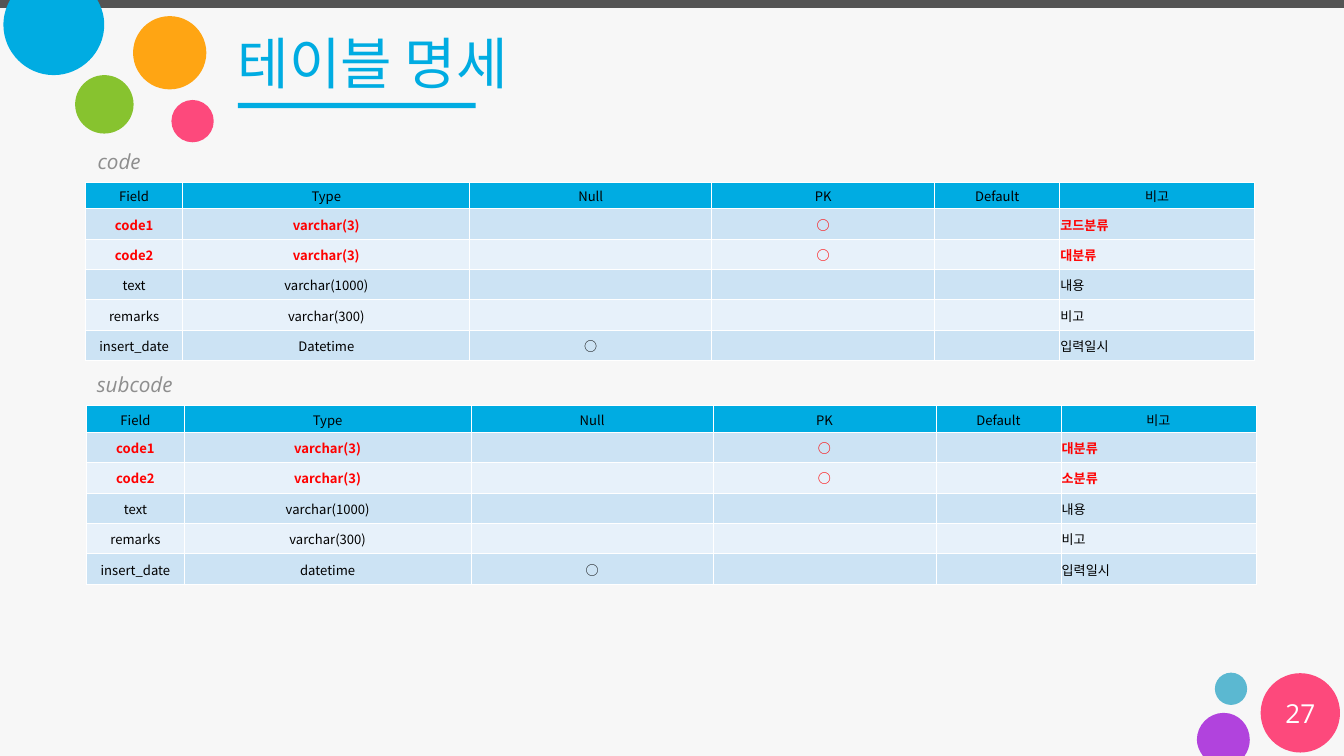
import pptx
import pptx.dml.color
import pptx.enum.shapes
import pptx.enum.text
import pptx.oxml
import pptx.oxml.ns
import pptx.util
from pptx.util import Cm

SLIDE_WIDTH, SLIDE_HEIGHT = 50.8, 28.58
BLUE, PINK, GREEN, WHITE, BLACK, RED = "00ACE2", "FD497C", "87C32F", "FFFFFF", "000000", "FF0000"
BAND_COLORS = ("CCE3F4", "E7F1FA")
RECTANGLE = pptx.enum.shapes.MSO_SHAPE.RECTANGLE
OVAL = pptx.enum.shapes.MSO_SHAPE.OVAL
LEFT = pptx.enum.text.PP_ALIGN.LEFT
CENTER = pptx.enum.text.PP_ALIGN.CENTER
MIDDLE = pptx.enum.text.MSO_ANCHOR.MIDDLE
TOP = pptx.enum.text.MSO_ANCHOR.TOP

COLUMN_WIDTHS = (3.68, 10.85, 9.14, 8.43, 4.72, 7.37)
HEADER_HEIGHT, ROW_HEIGHT = 1.0, 1.15
HEADERS = ("Field", "Type", "Null", "PK", "Default", "비고")
KEY_COUNT = 2

TOP_CIRCLE = (
    ((3.68, 0),),
    ((3.84, 0.28), (3.94, 0.58), (3.94, 0.94)),
    ((3.94, 1.98), (3.07, 2.84), (2.03, 2.84)),
    ((0.99, 2.84), (0.13, 1.98), (0.13, 0.94)),
    ((0.13, 0.58), (0.23, 0.28), (0.38, 0)),
)
BOTTOM_CIRCLE = (
    ((46.81, 26.95), (47.24, 27.41), (47.24, 27.97)),
    ((47.24, 28.19), (47.17, 28.4), (47.04, 28.58)),
    ((45.47, 28.58),),
    ((45.34, 28.4), (45.24, 28.19), (45.24, 27.97)),
    ((45.24, 27.41), (45.7, 26.95), (46.25, 26.95)),
)


def color(value):
    return pptx.dml.color.RGBColor.from_string(value)


def paint(shape, fill):
    shape.shadow.inherit = False
    shape.fill.solid()
    shape.fill.fore_color.rgb = color(fill)
    shape.line.fill.background()


def add_solid(slide, kind, left, top, width, height, fill):
    shape = slide.shapes.add_shape(kind, Cm(left), Cm(top), Cm(width), Cm(height))
    paint(shape, fill)


def add_cut_circle(slide, segments, fill):
    points = [(Cm(x), Cm(y)) for segment in segments for x, y in segment]
    builder = slide.shapes.build_freeform(*points[-1])
    builder.add_line_segments(points, close=True)
    shape = builder.convert_to_shape()
    lines = iter(list(shape._element.iter(pptx.oxml.ns.qn("a:lnTo"))))
    for segment in segments:
        pieces = [next(lines) for _ in segment]
        if len(pieces) == 3:
            curve = pieces[0].makeelement(pptx.oxml.ns.qn("a:cubicBezTo"))
            pieces[0].addprevious(curve)
            for piece in pieces:
                curve.append(piece[0])
                piece.getparent().remove(piece)
    paint(shape, fill)


def add_run(paragraph, text, size, font_name, font_color, bold=False, italic=False):
    run = paragraph.add_run()
    run.text = text
    run.font.size = pptx.util.Pt(size)
    run.font.name = font_name
    run.font.color.rgb = color(font_color)
    run.font.bold = bold
    run.font.italic = italic


def format_text(shape, text, size, font_name, font_color, align, anchor, italic=False):
    frame = shape.text_frame
    frame.word_wrap = True
    frame.auto_size = pptx.enum.text.MSO_AUTO_SIZE.NONE
    frame.vertical_anchor = anchor
    frame.margin_left = frame.margin_right = Cm(0.46)
    frame.margin_top = frame.margin_bottom = Cm(0.23)
    paragraph = frame.paragraphs[0]
    paragraph.alignment = align
    add_run(paragraph, text, size, font_name, font_color, italic=italic)


def add_title(slide, text):
    title = slide.shapes.title
    title.left, title.top, title.width, title.height = Cm(8.53), Cm(0.69), Cm(39.85), Cm(3.35)
    format_text(title, text, 60, "Calibri", BLUE, LEFT, MIDDLE)


def add_label(slide, left, top, text):
    box = slide.shapes.add_textbox(Cm(left), Cm(top), Cm(39.8), Cm(1.4))
    format_text(box, text, 22.2, "Open Sans", "8E8E8E", LEFT, TOP, italic=True)


def add_page_number(slide, text):
    box = slide.shapes.add_textbox(Cm(47.65), Cm(26.21), Cm(3), Cm(1.52))
    format_text(box, text, 28, "Open Sans", WHITE, CENTER, MIDDLE)


def set_borders(cell):
    properties = cell._tc.get_or_add_tcPr()
    for side in "LRTB":
        properties.append(pptx.oxml.parse_xml(
            f'<a:ln{side} {pptx.oxml.ns.nsdecls("a")} w="{pptx.util.Pt(1)}">'
            f'<a:solidFill><a:srgbClr val="{WHITE}"/></a:solidFill></a:ln{side}>'))


def fill_cell(cell, text, fill, font_color, bold, align):
    set_borders(cell)
    cell.fill.solid()
    cell.fill.fore_color.rgb = color(fill)
    cell.vertical_anchor = MIDDLE
    cell.margin_left = cell.margin_right = cell.margin_top = Cm(0.03)
    cell.margin_bottom = 0
    if text:
        paragraph = cell.text_frame.paragraphs[0]
        paragraph.alignment = align
        add_run(paragraph, text, 14, "Noto Sans CJK KR", font_color, bold)


def add_field_table(slide, left, top, rows):
    height = HEADER_HEIGHT + ROW_HEIGHT * len(rows)
    table = slide.shapes.add_table(len(rows) + 1, len(HEADERS), Cm(left), Cm(top),
                                   Cm(sum(COLUMN_WIDTHS)), Cm(height)).table
    for column, width in zip(table.columns, COLUMN_WIDTHS):
        column.width = Cm(width)
    for index, row in enumerate(table.rows):
        row.height = Cm(ROW_HEIGHT if index else HEADER_HEIGHT)
    for index, text in enumerate(HEADERS):
        fill_cell(table.cell(0, index), text, BLUE, BLACK, False, CENTER)
    for row_index, values in enumerate(rows):
        is_key = row_index < KEY_COUNT
        for index, text in enumerate(values):
            align = LEFT if index == len(HEADERS) - 1 else CENTER
            fill_cell(table.cell(row_index + 1, index), text, BAND_COLORS[row_index % 2],
                      RED if is_key else BLACK, is_key, align)


def field_rows(first_key_note, second_key_note, date_type):
    return (
        ("code1", "varchar(3)", "", "○", "", first_key_note),
        ("code2", "varchar(3)", "", "○", "", second_key_note),
        ("text", "varchar(1000)", "", "", "", "내용"),
        ("remarks", "varchar(300)", "", "", "", "비고"),
        ("insert_date", date_type, "○", "", "", "입력일시"),
    )


def add_decoration(slide):
    add_solid(slide, RECTANGLE, 0, 0, SLIDE_WIDTH, 0.3, "545454")
    add_cut_circle(slide, TOP_CIRCLE, BLUE)
    for left, top, diameter, fill in (
        (6.48, 3.78, 1.6, PINK),
        (2.84, 2.84, 2.21, GREEN),
        (5.03, 0.61, 2.77, "FFA513"),
        (45.92, 25.43, 1.22, "5BB8D1"),
        (47.65, 25.45, 3, PINK),
    ):
        add_solid(slide, OVAL, left, top, diameter, diameter, fill)
    add_cut_circle(slide, BOTTOM_CIRCLE, "B143DD")
    for left, top, fill in ((3.4, 11.48, GREEN), (8.99, 3.89, BLUE)):
        add_solid(slide, RECTANGLE, left, top, 8.99, 0.2, fill)


def main():
    presentation = pptx.Presentation()
    presentation.slide_width = Cm(SLIDE_WIDTH)
    presentation.slide_height = Cm(SLIDE_HEIGHT)
    slide = presentation.slides.add_slide(presentation.slide_layouts[5])
    slide.background.fill.solid()
    slide.background.fill.fore_color.rgb = color("F7F7F7")
    add_decoration(slide)
    add_title(slide, "테이블 명세")
    add_page_number(slide, "27")
    add_field_table(slide, 3.23, 6.89, field_rows("코드분류", "대분류", "Datetime"))
    add_field_table(slide, 3.28, 15.34, field_rows("대분류", "소분류", "datetime"))
    add_label(slide, 3.23, 5.41, "code")
    add_label(slide, 3.2, 13.84, "subcode")
    presentation.save("out.pptx")


if __name__ == "__main__":
    main()
